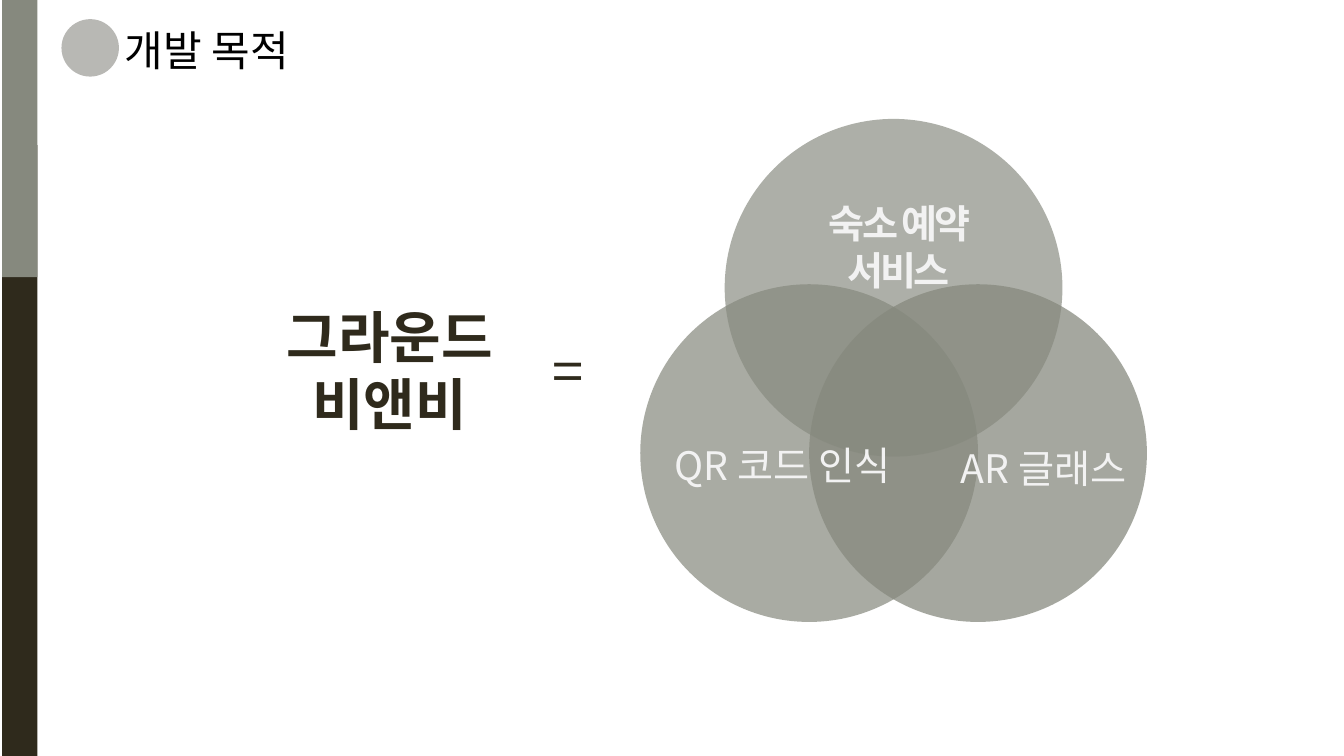
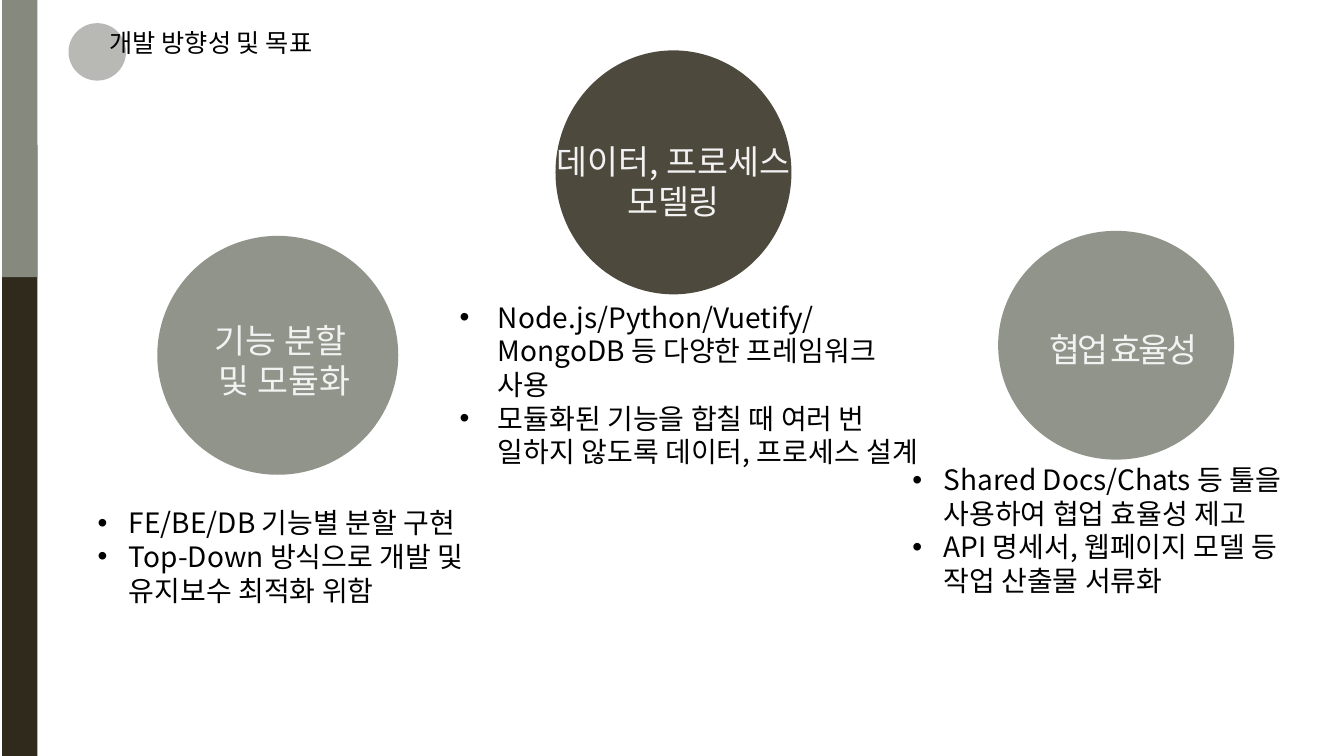
from dataclasses import dataclass, field

from lxml.etree import SubElement as Sub
from pptx import Presentation
from pptx.dml.color import RGBColor as Rgb
from pptx.enum.shapes import MSO_AUTO_SHAPE_TYPE as Kind
from pptx.enum.text import MSO_AUTO_SIZE as Fit, PP_ALIGN as Align
from pptx.oxml.ns import qn
from pptx.util import Inches, Pt


@dataclass(frozen=True)
class Theme:
    face: str = "Noto Sans CJK KR"
    dark: str = "2F2A1C"
    gray: str = "86897E"
    dot: str = "1D1B10"
    pale: str = "F2F2F2"
    ink: str = "000000"
    huge: int = 40
    head: int = 30
    ring: int = 28
    disc: int = 24
    body: int = 20
    small: int = 18


T = Theme()


@dataclass(frozen=True)
class Form:
    left: float
    top: float
    width: float
    height: float
    color: str = T.gray
    alpha: int = 100
    kind: Kind = Kind.OVAL


@dataclass(frozen=True)
class Note:
    left: float
    top: float
    width: float
    height: float
    lines: tuple[str, ...]
    size: int
    color: str = T.pale
    align: Align = Align.CENTER
    hang: float = 0
    track: int = 0
    font: dict = field(default_factory=dict)


def place(item: Form | Note) -> tuple[int, ...]:
    return tuple(map(Inches, (item.left, item.top, item.width, item.height)))


def draw(slide, form: Form) -> None:
    shape = slide.shapes.add_shape(form.kind, *place(form))
    shape.shadow.inherit = False
    shape.fill.solid()
    shape.fill.fore_color.rgb = Rgb.from_string(form.color)
    shape.line.fill.background()
    if form.alpha < 100:
        tint = shape.fill._xPr.find(qn("a:solidFill"))[0]
        Sub(tint, qn("a:alpha"), val=str(form.alpha * 1000))


def write(slide, note: Note) -> None:
    frame = slide.shapes.add_textbox(*place(note)).text_frame
    frame.word_wrap = True
    frame.auto_size = Fit.SHAPE_TO_FIT_TEXT
    style = {"name": T.face, "size": Pt(note.size), **note.font}
    for spot, line in enumerate(note.lines):
        para = frame.add_paragraph() if spot else frame.paragraphs[0]
        para.alignment = note.align
        if note.hang:
            props = para._p.get_or_add_pPr()
            props.set("marL", str(Inches(note.hang)))
            props.set("indent", str(-Inches(note.hang)))
            Sub(props, qn("a:buFont"), typeface="Arial")
            Sub(props, qn("a:buChar"), char="•")
        run = para.add_run()
        run.text = line
        for key, value in style.items():
            setattr(run.font, key, value)
        run.font.color.rgb = Rgb.from_string(note.color)
        props = run._r.get_or_add_rPr()
        Sub(props, qn("a:ea"), typeface=T.face)
        if note.track:
            props.set("spc", str(note.track))


def bullets(left: float, top: float, width: float, height: float,
            hang: float, *lines: str) -> Note:
    return Note(left, top, width, height, lines, T.body, T.ink,
                Align.LEFT, hang)


def title(left: float, top: float, width: float, height: float,
          text: str, size: int) -> Note:
    return Note(left, top, width, height, (text,), size, T.ink, Align.LEFT)


def build(deck, dot: tuple[float, float], head: Note,
          forms: list[Form], notes: list[Note]) -> None:
    slide = deck.slides.add_slide(deck.slide_layouts[6])
    bands = [
        Form(0.02, 1.44, 0.35, 6.06, T.dark, kind=Kind.RECTANGLE),
        Form(0.02, 0, 0.35, 2.75, T.gray, kind=Kind.RECTANGLE),
    ]
    for form in [*bands, Form(*dot, 0.57, 0.57, T.dot, 31), *forms]:
        draw(slide, form)
    for note in [head, *notes]:
        write(slide, note)


def purpose(deck) -> None:
    side, left, top = 3.35, 6.35, 2.82
    rings = [
        Form(left, top, side, side, alpha=71),
        Form(left + side / 2, top, side, side, alpha=74),
        Form(left + side / 4, 1.18, side, side, alpha=67),
    ]
    bold = {"bold": True}
    build(deck, (0.61, 0.19),
          title(1.14, 0.19, 2.33, 0.61, "개발 목적", T.head), rings, [
              Note(7.64, 1.93, 2.54, 0.57, ("숙소 예약 서비스",), T.ring,
                   track=-200, font=bold),
              Note(6.54, 4.33, 2.44, 0.57, ("QR 코드 인식",), T.ring),
              Note(9.13, 4.36, 2.44, 0.57, ("AR 글래스",), T.ring),
              Note(2.51, 2.95, 2.71, 1.45, ("그라운드", "비앤비"), T.huge,
                   T.dark, font=bold),
              Note(5.24, 3.29, 0.79, 0.77, ("=",), T.huge, T.dark),
          ])


def goals(deck) -> None:
    discs = [
        Form(1.56, 2.34, 2.39, 2.37, alpha=90),
        Form(9.9, 2.29, 2.34, 2.27, alpha=90),
        Form(5.51, 0.5, 2.34, 2.42, T.dark, 85),
    ]
    build(deck, (0.68, 0.23),
          title(0.99, 0.22, 3.89, 0.4, "개발 방향성 및 목표", T.small), discs, [
              Note(5.4, 1.35, 2.56, 0.91, ("데이터, 프로세스", "모델링"), T.disc),
              Note(1.58, 3.12, 2.48, 0.91, ("기능 분할 ", "및 모듈화"), T.disc),
              Note(9.9, 3.21, 2.48, 0.5, ("협업 효율성",), T.disc, track=-200),
              bullets(0.87, 4.97, 4.03, 1.11, 0.31,
                      "FE/BE/DB 기능별 분할 구현",
                      "Top-Down 방식으로 개발 및 유지보수 최적화 위함"),
              bullets(8.95, 4.54, 4.38, 1.45, 0.31,
                      "Shared Docs/Chats 등 툴을 사용하여 협업 효율성 제고",
                      "API 명세서, 웹페이지 모델 등 작업 산출물 서류화"),
              bullets(4.46, 2.93, 4.77, 1.45, 0.38,
                      "Node.js/Python/Vuetify/MongoDB 등 다양한 프레임워크 사용",
                      "모듈화된 기능을 합칠 때 여러 번 일하지 않도록 "
                      "데이터, 프로세스 설계"),
          ])


def main() -> None:
    deck = Presentation()
    deck.slide_width, deck.slide_height = Inches(13.33), Inches(7.5)
    purpose(deck)
    goals(deck)
    deck.save("out.pptx")


if __name__ == "__main__":
    main()
